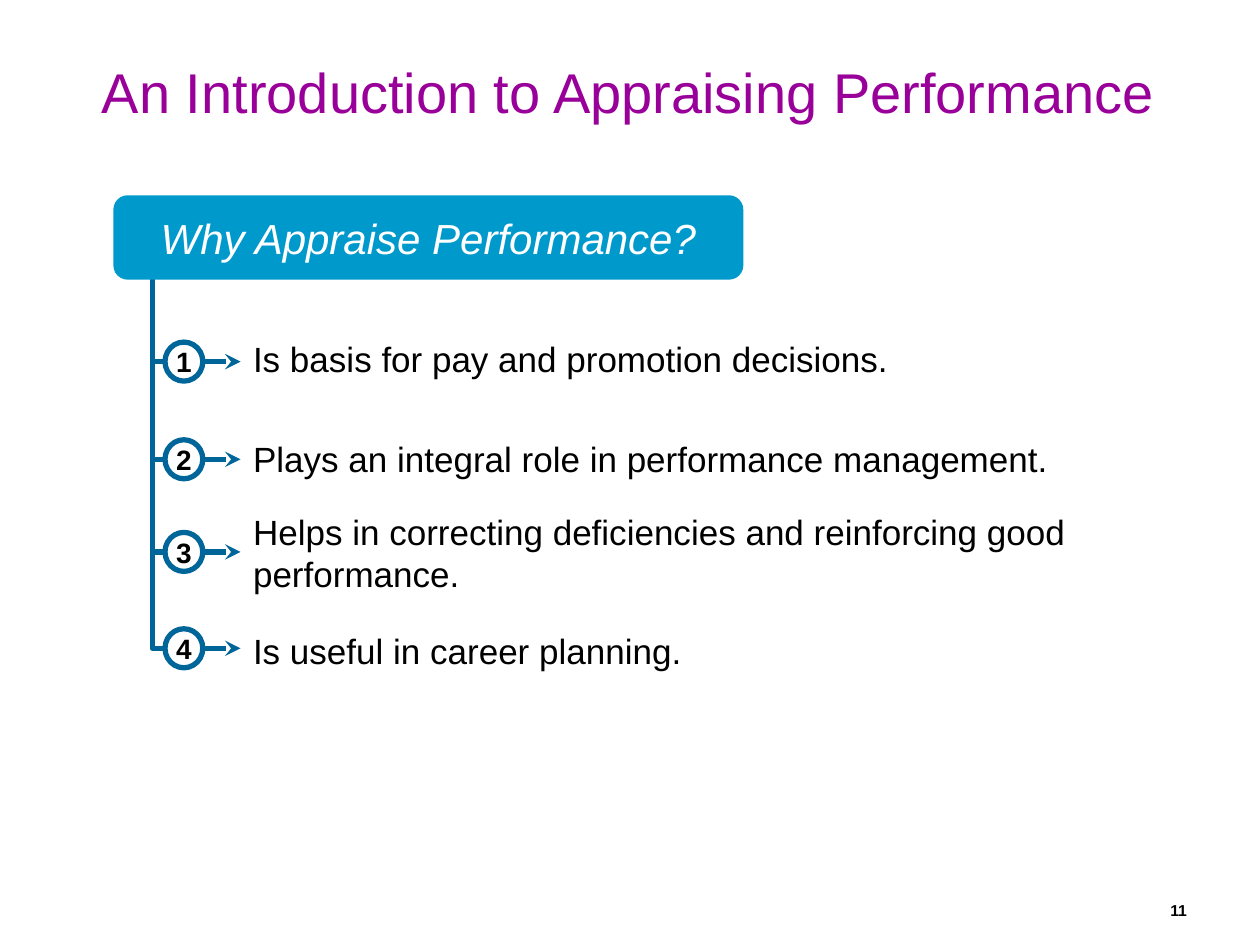
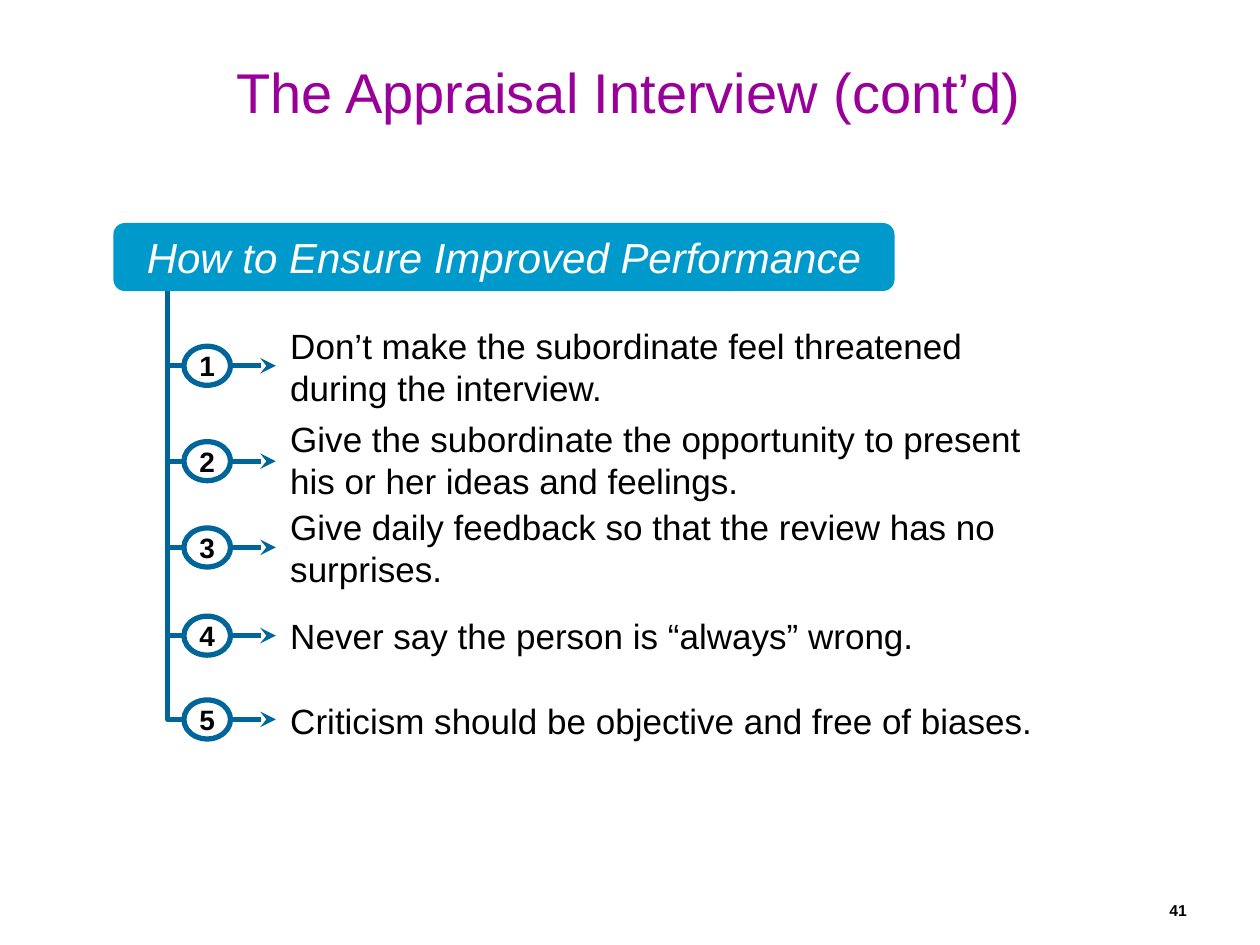
from dataclasses import dataclass

from lxml.etree import SubElement
from pptx import Presentation
from pptx.dml.color import RGBColor
from pptx.enum.shapes import MSO_SHAPE
from pptx.enum.text import MSO_ANCHOR, MSO_AUTO_SIZE, PP_ALIGN
from pptx.oxml.ns import qn
from pptx.util import Emu, Inches, Pt

WIDE, HIGH = Inches(10), Inches(7.5)
COLS, ROWS = 100, 75
FONT = "Arial"
PLUM, SKY, SEA = "990099", "0099CC", "006699"
BLACK, WHITE = "000000", "FFFFFF"


@dataclass(frozen=True)
class Box:
    left: float
    top: float
    wide: float
    high: float

    def cells(self) -> tuple:
        return col(self.left), row(self.top), col(self.wide), row(self.high)


@dataclass(frozen=True)
class Step:
    words: str
    mid: float
    text: float
    wide: float = 61.9
    stem: float = 9.9


@dataclass(frozen=True)
class Track:
    stem: float
    badge: float
    size: float
    tip: float
    text: float
    high: float


@dataclass(frozen=True)
class Page:
    title: str
    number: str
    head: str
    banner: Box
    track: Track
    steps: tuple


TITLE = Box(5, 4.1, 89.8, 6.4)
NUMBER = Box(70, 69.5, 24.2, 4)

PAGES = (
    Page(
        "An Introduction to Appraising Performance", "11",
        "Why Appraise Performance?", Box(9, 15.5, 50, 6.7),
        Track(stem=12.1, badge=13.1, size=3, tip=19.1, text=19.1, high=4.9),
        (
            Step("Is basis for pay and promotion decisions.", 28.7, 28.45, 65.9),
            Step("Plays an integral role in performance management.", 36.45, 36.35, 70.9),
            Step("Helps in correcting deficiencies and reinforcing good performance.",
                 43.8, 43.85, 70.9),
            Step("Is useful in career planning.", 51.45, 51.65, 57.9),
        ),
    ),
    Page(
        "The Appraisal Interview (cont’d)", "41",
        "How to Ensure Improved Performance", Box(9, 17.7, 62, 5.4),
        Track(stem=13.3, badge=14.6, size=3.7, tip=21.9, text=22.05, high=4.7),
        (
            Step("Don’t make the subordinate feel threatened during the interview.",
                 29.03, 29.1),
            Step("Give the subordinate the opportunity to present his or her ideas and feelings.",
                 36.6, 36.45),
            Step("Give daily feedback so that the review has no surprises.",
                 43.45, 43.45, stem=17.3),
            Step("Never say the person is “always” wrong.", 50.45, 50.45, stem=17.3),
            Step("Criticism should be objective and free of biases.",
                 57.1, 57.15, stem=17.3),
        ),
    ),
)


def col(count: float) -> Emu:
    return Emu(round(WIDE * count / COLS))


def row(count: float) -> Emu:
    return Emu(round(HIGH * count / ROWS))


def hue(code: str) -> RGBColor:
    return RGBColor.from_string(code)


def put(shape, words: str, *, size: float, color: str = BLACK, bold: bool = False,
        slant: bool = False, align=PP_ALIGN.LEFT, anchor=MSO_ANCHOR.MIDDLE,
        wrap: bool = True, before: float = 0, side: float = 0.1) -> None:
    frame = shape.text_frame
    frame.word_wrap = wrap
    frame.vertical_anchor = anchor
    frame.margin_left = frame.margin_right = Inches(side)
    frame.margin_top = frame.margin_bottom = Inches(0.05)
    para = frame.paragraphs[0]
    para.alignment = align
    para.space_before = Pt(before)
    run = para.add_run()
    run.text = words
    font = run.font
    font.name, font.size, font.bold, font.italic = FONT, Pt(size), bold, slant
    font.color.rgb = hue(color)


def paint(shape, fill: str = "", line: str = "") -> None:
    shape.shadow.inherit = False
    if fill:
        shape.fill.solid()
        shape.fill.fore_color.rgb = hue(fill)
    else:
        shape.fill.background()
    if line:
        shape.line.color.rgb = hue(line)
        shape.line.width = Pt(3)
    else:
        shape.line.fill.background()


def branch(slide, track: Track, step: Step) -> None:
    stem, mid = col(track.stem), row(step.mid)
    pen = slide.shapes.build_freeform(stem, row(step.mid - step.stem))
    pen.add_line_segments([(stem, mid), (col(track.tip), mid)], close=False)
    elbow = pen.convert_to_shape()
    paint(elbow, line=SEA)
    SubElement(elbow.line._get_or_add_ln(), qn("a:tailEnd"), type="stealth")


def badge(slide, track: Track, step: Step, index: int) -> None:
    high = 3.1
    box = Box(track.badge, step.mid - high / 2, track.size, high)
    ring = slide.shapes.add_shape(MSO_SHAPE.OVAL, *box.cells())
    paint(ring, WHITE, SEA)
    put(ring, str(index), size=16, bold=True, align=PP_ALIGN.CENTER, wrap=False)


def label(slide, track: Track, step: Step) -> None:
    box = Box(track.text, step.text - track.high / 2, step.wide, track.high)
    put(slide.shapes.add_textbox(*box.cells()), step.words, size=20, before=12.5)


def frame(slide, page: Page) -> None:
    title = slide.shapes.title
    title.left, title.top, title.width, title.height = TITLE.cells()
    put(title, page.title, size=32, color=PLUM, align=PP_ALIGN.CENTER,
        anchor=MSO_ANCHOR.TOP)
    title.text_frame.auto_size = MSO_AUTO_SIZE.SHAPE_TO_FIT_TEXT
    put(slide.shapes.add_textbox(*NUMBER.cells()), page.number, size=9, bold=True,
        align=PP_ALIGN.RIGHT, anchor=MSO_ANCHOR.BOTTOM, side=0)


def banner(slide, page: Page) -> None:
    shape = slide.shapes.add_shape(MSO_SHAPE.ROUNDED_RECTANGLE, *page.banner.cells())
    shape.adjustments[0] = 0.17
    paint(shape, SKY)
    put(shape, page.head, size=24, color=WHITE, slant=True, align=PP_ALIGN.CENTER)


def draw(deck, page: Page) -> None:
    slide = deck.slides.add_slide(deck.slide_layouts[5])
    frame(slide, page)
    for index, step in enumerate(page.steps, 1):
        branch(slide, page.track, step)
        badge(slide, page.track, step, index)
        label(slide, page.track, step)
    banner(slide, page)


def main() -> None:
    deck = Presentation()
    deck.slide_width, deck.slide_height = WIDE, HIGH
    for page in PAGES:
        draw(deck, page)
    deck.save("out.pptx")


if __name__ == "__main__":
    main()
